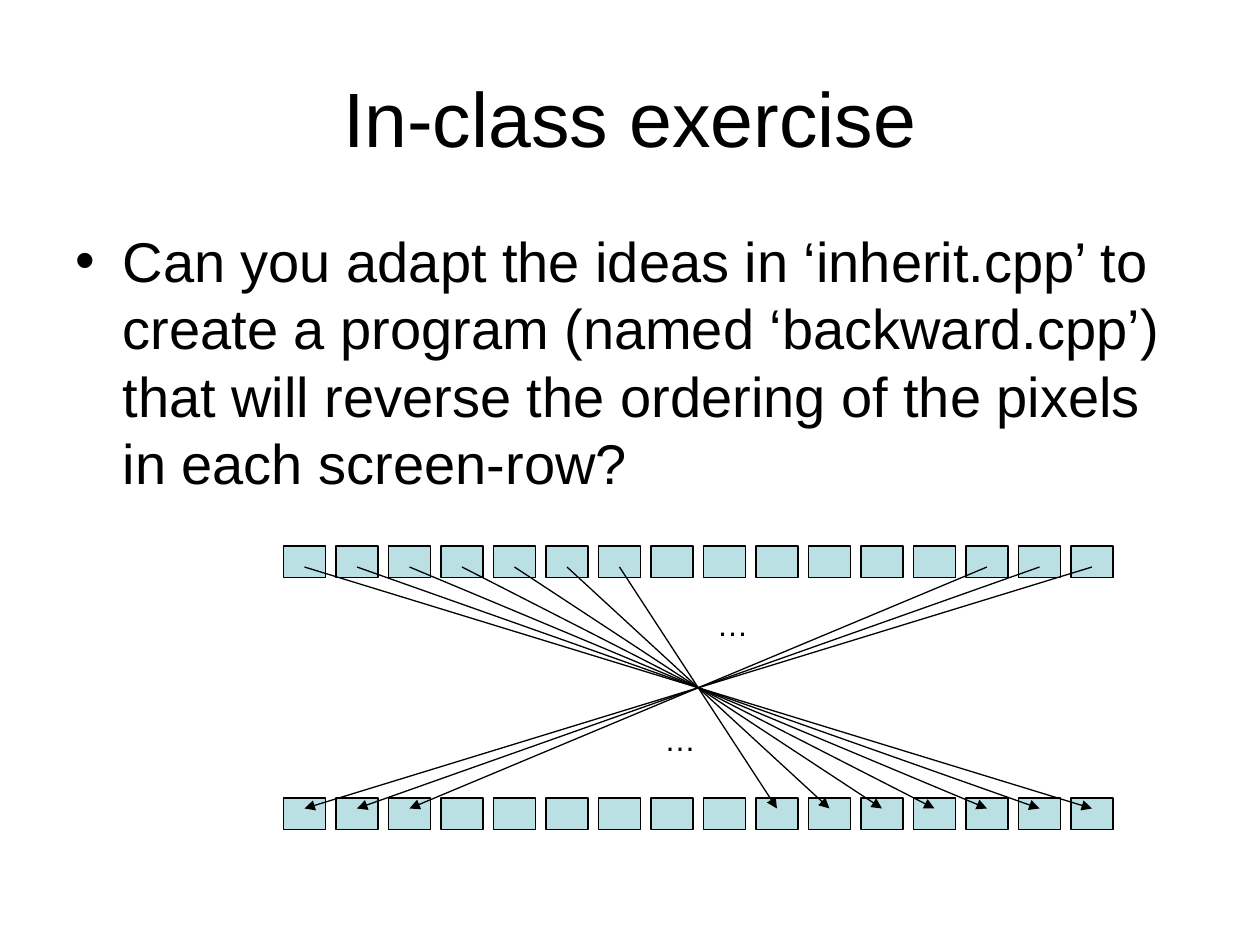
from lxml import etree
from pptx import Presentation
from pptx.dml.color import RGBColor
from pptx.enum import shapes, text
from pptx.oxml import ns
from pptx.util import Pt

BLACK = RGBColor(0, 0, 0)
WHITE = RGBColor(255, 255, 255)
AQUA = RGBColor(0xBB, 0xE0, 0xE3)
FONT = "Arial"
COUNT = 16
STEP = 30
CELL_W, CELL_H = 24, 18


def add_run(para, words, size):
    run = para.add_run()
    run.text = words
    run.font.name = FONT
    run.font.size = Pt(size)
    run.font.color.rgb = BLACK


def add_title(slide, left, top, width, height):
    title = slide.shapes.title
    title.left, title.top = Pt(left), Pt(top)
    title.width, title.height = Pt(width), Pt(height)
    frame = title.text_frame
    frame.vertical_anchor = text.MSO_ANCHOR.MIDDLE
    para = frame.paragraphs[0]
    para.alignment = text.PP_ALIGN.CENTER
    add_run(para, "In-class exercise", 44)


def add_body(slide, left, top, width, height):
    box = slide.shapes.add_textbox(Pt(left), Pt(top), Pt(width), Pt(height))
    frame = box.text_frame
    frame.word_wrap = True
    para = frame.paragraphs[0]
    props = para._p.get_or_add_pPr()
    props.set("marL", str(Pt(27)))
    props.set("indent", str(-Pt(27)))
    etree.SubElement(props, ns.qn("a:buFont"), typeface=FONT)
    etree.SubElement(props, ns.qn("a:buChar"), char="•")
    add_run(para, "Can you adapt the ideas in ‘inherit.cpp’ to create a program "
            "(named ‘backward.cpp’) that will reverse the ordering of the pixels "
            "in each screen-row?", 32)


def add_row(slide, left, top):
    for i in range(COUNT):
        cell = slide.shapes.add_shape(
            shapes.MSO_SHAPE.RECTANGLE,
            Pt(left + i * STEP), Pt(top), Pt(CELL_W), Pt(CELL_H))
        cell.shadow.inherit = False
        cell.fill.solid()
        cell.fill.fore_color.rgb = AQUA
        cell.line.color.rgb = BLACK
        cell.line.width = Pt(0.75)


def add_arrow(slide, x1, y1, x2, y2):
    arrow = slide.shapes.add_connector(
        shapes.MSO_CONNECTOR.STRAIGHT, Pt(x1), Pt(y1), Pt(x2), Pt(y2))
    arrow.line.color.rgb = BLACK
    arrow.line.width = Pt(0.75)
    etree.SubElement(arrow.line._get_or_add_ln(), ns.qn("a:tailEnd"), type="triangle")
    etree.SubElement(arrow._element.spPr, ns.qn("a:effectLst"))


def add_dots(slide, left, top):
    box = slide.shapes.add_textbox(Pt(left), Pt(top), Pt(32.4), Pt(28.8))
    frame = box.text_frame
    frame.word_wrap = False
    frame.auto_size = text.MSO_AUTO_SIZE.SHAPE_TO_FIT_TEXT
    add_run(frame.paragraphs[0], "…", 18)


def add_swap(slide, left, top, height):
    base = top + height - CELL_H
    add_row(slide, left, top)
    add_row(slide, left, base)
    mid = left + CELL_W / 2
    for i in [*range(7), 15, 14, 13]:
        add_arrow(slide, mid + i * STEP, top + 12,
                  mid + (COUNT - 1 - i) * STEP, base + 6)
    add_dots(slide, left + 240.5, top + 30)
    add_dots(slide, left + 210.5, top + 96)


def main():
    deck = Presentation()
    deck.slide_width, deck.slide_height = Pt(720), Pt(540)
    slide = deck.slides.add_slide(deck.slide_layouts[5])
    slide.background.fill.solid()
    slide.background.fill.fore_color.rgb = WHITE
    add_title(slide, 36, 21.6, 648, 90)
    add_body(slide, 36, 126, 648, 356.4)
    add_swap(slide, 162, 312, 162)
    deck.save("out.pptx")


if __name__ == "__main__":
    main()
